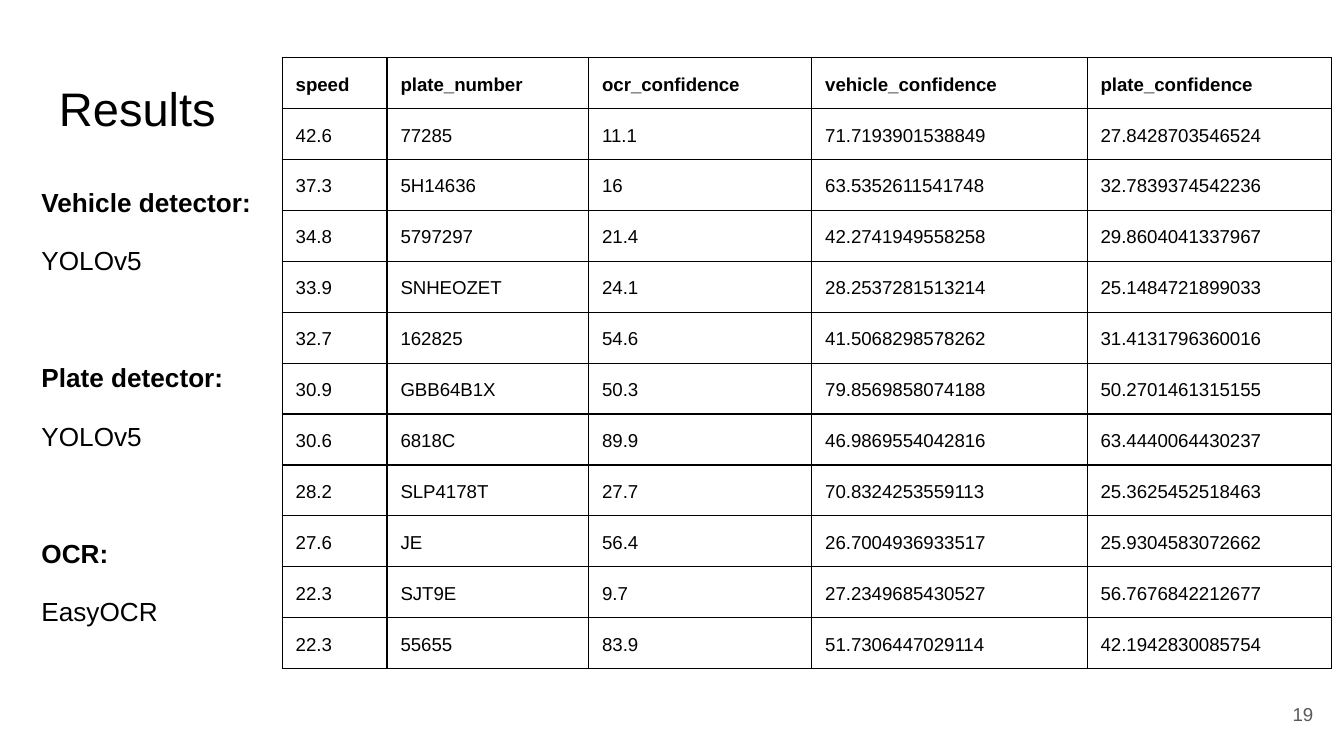
"""Build the results slide: detector summary beside a table of plate readings."""
from lxml import etree
from pptx import Presentation
from pptx.dml.color import RGBColor
from pptx.enum.text import MSO_ANCHOR as Anchor, PP_ALIGN as Align
from pptx.oxml.ns import qn
from pptx.util import Inches, Pt

FONT = "Arial"
COLORS = {"text": "000000", "border": "000000", "number": "595959", "bg": "FFFFFF"}
SLIDE_WIDTH = 10
SLIDE_HEIGHT = SLIDE_WIDTH * 9 / 16
COL_WIDTHS = [0.78, 1.5, 1.66, 2.05, 1.82]
ROW_HEIGHT = 0.18
HEADER = ["speed", "plate_number", "ocr_confidence", "vehicle_confidence", "plate_confidence"]
READINGS = [
    ["42.6", "77285", "11.1", "71.7193901538849", "27.8428703546524"],
    ["37.3", "5H14636", "16", "63.5352611541748", "32.7839374542236"],
    ["34.8", "5797297", "21.4", "42.2741949558258", "29.8604041337967"],
    ["33.9", "SNHEOZET", "24.1", "28.2537281513214", "25.1484721899033"],
    ["32.7", "162825", "54.6", "41.5068298578262", "31.4131796360016"],
    ["30.9", "GBB64B1X", "50.3", "79.8569858074188", "50.2701461315155"],
    ["30.6", "6818C", "89.9", "46.9869554042816", "63.4440064430237"],
    ["28.2", "SLP4178T", "27.7", "70.8324253559113", "25.3625452518463"],
    ["27.6", "JE", "56.4", "26.7004936933517", "25.9304583072662"],
    ["22.3", "SJT9E", "9.7", "27.2349685430527", "56.7676842212677"],
    ["22.3", "55655", "83.9", "51.7306447029114", "42.1942830085754"],
]
MODELS = [("Vehicle detector:", "YOLOv5"), ("Plate detector:", "YOLOv5"), ("OCR:", "EasyOCR")]


def write(p, text, size, color="text", bold=False):
    """Set the text of a paragraph and format its run."""
    p.text = text
    font = p.runs[0].font
    font.name, font.size, font.bold = FONT, Pt(size), bold
    font.color.rgb = RGBColor.from_string(COLORS[color])


def set_margins(target):
    """Give a cell or text frame equal margins."""
    for side in ("left", "top", "right", "bottom"):
        setattr(target, f"margin_{side}", Inches(0.1))


def add_text_frame(s, left, top, width, height):
    """Add a wrapping text box and return its text frame."""
    box = s.shapes.add_textbox(Inches(left), Inches(top), Inches(width), Inches(height))
    tf = box.text_frame
    tf.word_wrap = True
    set_margins(tf)
    return tf


def add_borders(cell):
    """Draw a thin solid line on each side of a cell."""
    tc_pr = cell._tc.get_or_add_tcPr()
    for i, tag in enumerate(("a:lnL", "a:lnR", "a:lnT", "a:lnB")):
        ln = etree.Element(qn(tag), w=str(Pt(0.75)))
        fill = etree.SubElement(ln, qn("a:solidFill"))
        etree.SubElement(fill, qn("a:srgbClr"), val=COLORS["border"])
        tc_pr.insert(i, ln)


def add_readings(s, left, top):
    """Add the table of readings with a bold header row."""
    rows = [HEADER] + READINGS
    frame = s.shapes.add_table(len(rows), len(HEADER), Inches(left), Inches(top),
                               Inches(sum(COL_WIDTHS)), Inches(ROW_HEIGHT * len(rows)))
    table = frame.table
    table.first_row = table.horz_banding = False
    for column, width in zip(table.columns, COL_WIDTHS):
        column.width = Inches(width)
    for r, values in enumerate(rows):
        for c, value in enumerate(values):
            cell = table.cell(r, c)
            set_margins(cell)
            cell.fill.background()
            add_borders(cell)
            p = cell.text_frame.paragraphs[0]
            p.line_spacing = 1.15
            write(p, value, 10, bold=r == 0)


def add_models(s):
    """List the stages with the model used in each."""
    tf = add_text_frame(s, 0.21, 1.25, 2.42, 3.74)
    for i, (stage, model) in enumerate(MODELS):
        heading = tf.add_paragraph() if i else tf.paragraphs[0]
        heading.space_before = Pt(43.5 if i else 0)
        write(heading, stage, 14, bold=True)
        name = tf.add_paragraph()
        name.space_before = Pt(12)
        write(name, model, 14)
    for p in tf.paragraphs:
        p.line_spacing = 1.15


def add_title(s):
    """Add the slide title."""
    write(add_text_frame(s, 0.34, 0.49, 9.32, 0.63).paragraphs[0], "Results", 25.2)


def add_page_number(s):
    """Add the page number at the lower right."""
    tf = add_text_frame(s, 9.27, 5.1, 0.6, 0.43)
    tf.vertical_anchor = Anchor.MIDDLE
    p = tf.paragraphs[0]
    p.alignment = Align.RIGHT
    write(p, "19", 10, "number")


def main():
    """Build and save the slide."""
    prs = Presentation()
    prs.slide_width, prs.slide_height = Inches(SLIDE_WIDTH), Inches(SLIDE_HEIGHT)
    s = prs.slides.add_slide(prs.slide_layouts[6])
    s.background.fill.solid()
    s.background.fill.fore_color.rgb = RGBColor.from_string(COLORS["bg"])
    add_readings(s, 2.1, 0.43)
    add_models(s)
    add_title(s)
    add_page_number(s)
    prs.save("out.pptx")


if __name__ == "__main__":
    main()
